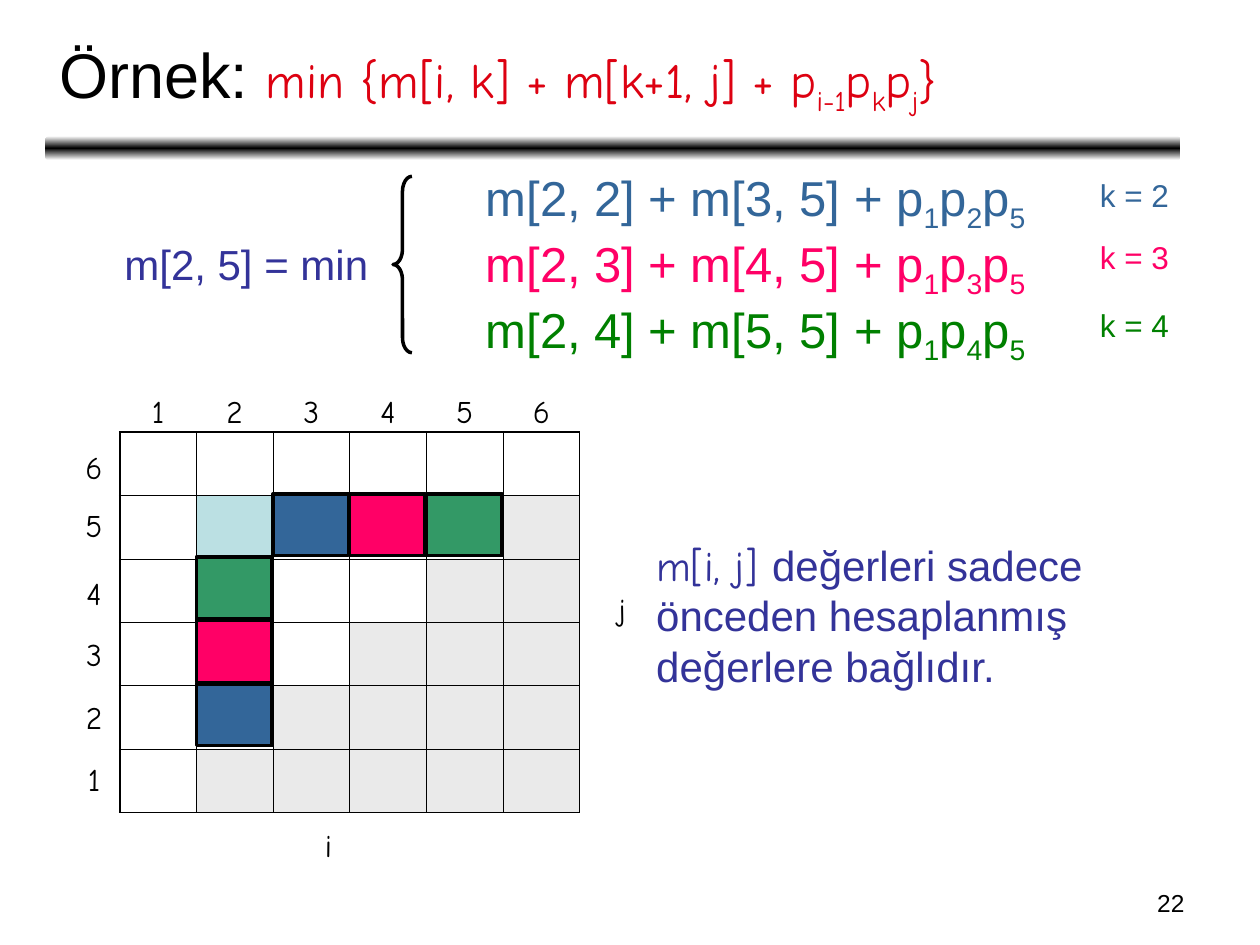
from lxml.etree import SubElement
from pptx import Presentation
from pptx.dml.color import RGBColor
from pptx.enum.shapes import MSO_SHAPE as Shape
from pptx.enum.text import MSO_ANCHOR as Anchor, PP_ALIGN as Align
from pptx.oxml import parse_xml
from pptx.oxml.ns import nsdecls, qn
from pptx.util import Pt

BLACK = RGBColor(0x00, 0x00, 0x00)
RED = RGBColor(0xDD, 0x01, 0x11)
INDIGO = RGBColor(0x33, 0x33, 0x99)
BLUE = RGBColor(0x33, 0x66, 0x99)
PINK = RGBColor(0xFF, 0x00, 0x66)
GREEN = RGBColor(0x00, 0x80, 0x00)
CELL_GREEN = RGBColor(0x33, 0x99, 0x66)
TARGET = RGBColor(0xBB, 0xE0, 0xE3)
UNUSED = RGBColor(0xEA, 0xEA, 0xEA)

SANS, COMIC = "Arial", "Comic Neue"
GRID_LEFT, GRID_TOP, GRID_SIZE = 68.4, 247, 6
COLUMN_WIDTH, ROW_HEIGHT = 43.8, 36.2


def add_run(paragraph, text, size, font, color, subscript=False):
    run = paragraph.add_run()
    run.text = text
    run.font.size = Pt(size)
    run.font.name = font
    run.font.color.rgb = color
    if subscript:
        run._r.get_or_add_rPr().set("baseline", "-25000")


def add_formula(paragraph, parts, size, font, color):
    """Add parts that alternate between base line and subscript."""
    for index, part in enumerate(parts):
        add_run(paragraph, part, size, font, color, index % 2 == 1)


def add_text_box(slide, left, top, width, height, wrap=True):
    text_frame = slide.shapes.add_textbox(
        Pt(left), Pt(top), Pt(width), Pt(height)).text_frame
    text_frame.word_wrap = wrap
    return text_frame


def add_label(slide, text, left, top, width, size=18, font=COMIC,
              color=BLACK, align=Align.LEFT):
    text_frame = add_text_box(slide, left, top, width, 29, wrap=False)
    paragraph = text_frame.paragraphs[0]
    paragraph.alignment = align
    add_run(paragraph, text, size, font, color)


def add_shape(slide, kind, left, top, width, height):
    shape = slide.shapes.add_shape(
        kind, Pt(left), Pt(top), Pt(width), Pt(height))
    shape.shadow.inherit = False
    shape.line.color.rgb = BLACK
    shape.line.width = Pt(2)
    return shape


def add_rule(slide):
    """Add the bar under the title, fading to white above and below."""
    rule = add_shape(slide, Shape.ROUNDED_RECTANGLE, 25.9, 77.8, 648.7, 13.7)
    rule.line.fill.background()
    rule.fill.gradient()
    rule.fill.gradient_angle = 270
    stops = rule._element.spPr.find(qn("a:gradFill")).find(qn("a:gsLst"))
    for stop in list(stops):
        stops.remove(stop)
    for position, color in ((0, "FFFFFF"), (50000, "000000"),
                            (100000, "FFFFFF")):
        stops.append(parse_xml(
            f'<a:gs {nsdecls("a")} pos="{position}">'
            f'<a:srgbClr val="{color}"/></a:gs>'))


def add_title(slide):
    title = slide.shapes.title
    title.left, title.top = Pt(26.6), Pt(7.9)
    title.width, title.height = Pt(648), Pt(71.3)
    title.text_frame.vertical_anchor = Anchor.MIDDLE
    paragraph = title.text_frame.paragraphs[0]
    paragraph.alignment = Align.LEFT
    add_run(paragraph, "Örnek: ", 36, SANS, BLACK)
    parts = ("min {m[i, k] + m[k+1, j] + p", "i-1", "p", "k", "p", "j", "}")
    add_formula(paragraph, parts, 28, COMIC, RED)


def add_cases(slide):
    """Add the recurrence: left side, brace and one line for each k."""
    text_frame = add_text_box(slide, 64, 132.5, 185, 49)
    add_run(text_frame.paragraphs[0], "m[2, 5] = min", 24, SANS, INDIGO)

    brace = add_shape(slide, Shape.LEFT_BRACE, 224.6, 100.8, 10.8, 100.8)
    brace.adjustments[0] = 0.8
    brace.fill.background()

    text_frame = add_text_box(slide, 270.5, 95.8, 340, 116)
    cases = ((2, BLUE, 97.2), (3, PINK, 132.5), (4, GREEN, 171.4))
    for index, (k, color, label_top) in enumerate(cases):
        paragraph = (text_frame.add_paragraph() if index
                     else text_frame.paragraphs[0])
        paragraph.line_spacing = 0.8
        paragraph.space_before = Pt(7 if index else 0)
        parts = (f"m[2, {k}] + m[{k + 1}, 5] + p", "1", "p", str(k), "p", "5")
        add_formula(paragraph, parts, 28, SANS, color)
        add_label(slide, f"k = {k}", 621.4, label_top, 54, font=SANS,
                  color=color)


def set_borders(cell, widths):
    """Set left, right, top and bottom border widths in points."""
    properties = cell._tc.get_or_add_tcPr()
    for side, width in zip("LRTB", widths):
        line = SubElement(properties, qn(f"a:ln{side}"), w=str(Pt(width)))
        fill = SubElement(line, qn("a:solidFill"))
        SubElement(fill, qn("a:srgbClr"), val=str(BLACK))


def add_grid(slide):
    table = slide.shapes.add_table(
        GRID_SIZE, GRID_SIZE, Pt(GRID_LEFT), Pt(GRID_TOP),
        Pt(GRID_SIZE * COLUMN_WIDTH), Pt(GRID_SIZE * ROW_HEIGHT)).table
    table.first_row = table.horz_banding = False
    for column in table.columns:
        column.width = Pt(COLUMN_WIDTH)
    last = GRID_SIZE - 1
    for row_index, row in enumerate(table.rows):
        row.height = Pt(ROW_HEIGHT)
        for column_index, cell in enumerate(row.cells):
            on_edge = (column_index == 0, column_index == last,
                       row_index == 0, row_index == last)
            set_borders(cell, [1.08 if edge else 0.45 for edge in on_edge])
            if (row_index, column_index) == (1, 1):
                color = TARGET
            elif row_index + column_index >= GRID_SIZE:
                color = UNUSED
            else:
                cell.fill.background()
                continue
            cell.fill.solid()
            cell.fill.fore_color.rgb = color


def add_grid_labels(slide):
    for index in range(GRID_SIZE):
        center = GRID_LEFT + (index + 0.5) * COLUMN_WIDTH
        add_label(slide, str(index + 1), center - 12, 220.3, 24,
                  align=Align.CENTER)
    row_tops = (252.7, 285.8, 324.7, 359.3, 395.3, 430.6)
    for index, top in enumerate(row_tops):
        add_label(slide, str(GRID_SIZE - index), 41.7, top, 24,
                  align=Align.CENTER)
    add_label(slide, "i", 178.6, 468.7, 18)
    add_label(slide, "j", 346.3, 333.4, 18)


def add_marked_cells(slide):
    """Outline the pair of cells that each k combines."""
    pairs = ((BLUE, (4, 1), (1, 2)),
             (PINK, (3, 1), (1, 3)),
             (CELL_GREEN, (2, 1), (1, 4)))
    for color, *cells in pairs:
        for row, column in cells:
            marker = add_shape(
                slide, Shape.RECTANGLE, GRID_LEFT + column * COLUMN_WIDTH,
                GRID_TOP - 1 + row * ROW_HEIGHT, 43.2, 35.3)
            marker.fill.solid()
            marker.fill.fore_color.rgb = color


def add_remark(slide):
    paragraph = add_text_box(slide, 367.9, 304.6, 334.8, 185).paragraphs[0]
    add_run(paragraph, "m[i, j] ", 24, COMIC, INDIGO)
    add_run(paragraph, "değerleri sadece önceden hesaplanmış "
            "değerlere bağlıdır.", 24, SANS, INDIGO)


def main():
    presentation = Presentation()
    presentation.slide_width, presentation.slide_height = Pt(720), Pt(540)
    slide = presentation.slides.add_slide(presentation.slide_layouts[5])
    add_rule(slide)
    add_title(slide)
    add_cases(slide)
    add_grid(slide)
    add_grid_labels(slide)
    add_marked_cells(slide)
    add_remark(slide)
    add_label(slide, "22", 516.2, 504, 167.8, size=14, font=SANS,
              align=Align.RIGHT)
    presentation.save("out.pptx")


if __name__ == "__main__":
    main()
